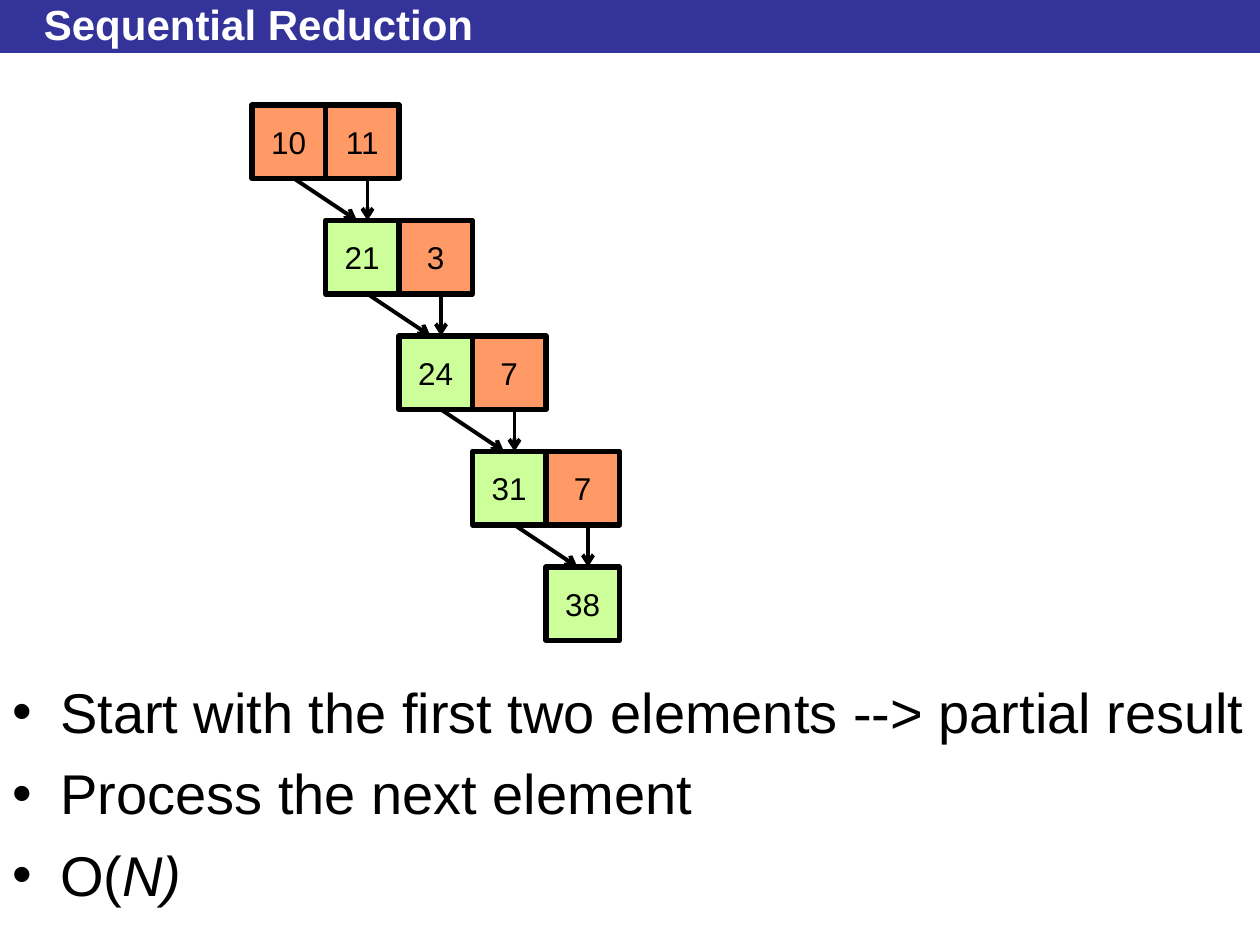
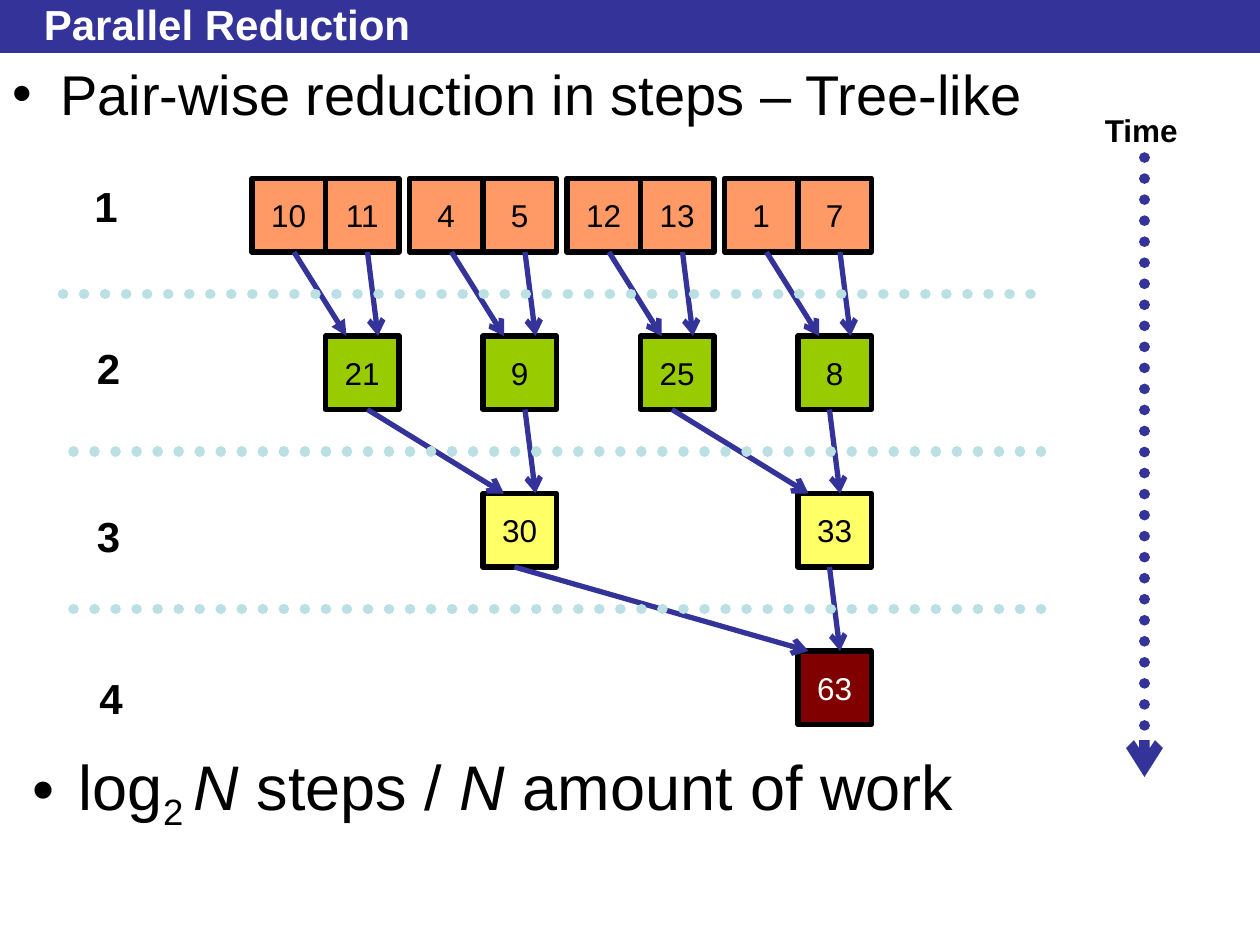
from lxml import etree
from pptx import Presentation
from pptx.dml.color import RGBColor
from pptx.enum.dml import MSO_LINE
from pptx.enum.shapes import MSO_CONNECTOR, MSO_SHAPE
from pptx.enum.text import MSO_ANCHOR, MSO_AUTO_SIZE, PP_ALIGN
from pptx.oxml.ns import qn
from pptx.util import Inches, Pt

# Shared style
FONT = "Arial"
BLACK, WHITE = "000000", "FFFFFF"
NAVY, PALE_BLUE = "333399", "BBE0E3"
ORANGE, LIGHT_GREEN = "FF9966", "CCFF99"
GREEN, YELLOW, MAROON = "99CC00", "FFFF66", "800000"

# Both diagrams sit on a grid of twelfths of an inch
CELL = 7
FIRST_X = 24


def grid(units):
    return Inches(units / 12)


def color(hex_value):
    return RGBColor.from_string(hex_value)


def format_runs(paragraph, size, hex_value=BLACK, bold=False):
    for run in paragraph.runs:
        run.font.name = FONT
        run.font.size = Pt(size)
        run.font.bold = bold
        run.font.color.rgb = color(hex_value)


def add_bullet(paragraph, indent):
    properties = paragraph._p.get_or_add_pPr()
    properties.set("marL", str(Inches(indent)))
    properties.set("indent", str(-Inches(indent)))
    bullet_color = etree.SubElement(properties, qn("a:buClr"))
    etree.SubElement(bullet_color, qn("a:srgbClr"), val=BLACK)
    etree.SubElement(properties, qn("a:buFont"), typeface=FONT)
    etree.SubElement(properties, qn("a:buChar"), char="•")


def add_text_box(slide, left, top, width, height, wrap=True):
    box = slide.shapes.add_textbox(Inches(left), Inches(top), Inches(width), Inches(height))
    box.text_frame.word_wrap = wrap
    return box.text_frame


def add_label(slide, text, left, top, width, height, size):
    frame = add_text_box(slide, left, top, width, height, wrap=False)
    frame.text = text
    format_runs(frame.paragraphs[0], size, bold=True)


def add_titled_slide(presentation, title):
    slide = presentation.slides.add_slide(presentation.slide_layouts[6])
    band = slide.shapes.add_shape(MSO_SHAPE.RECTANGLE, 0, 0, presentation.slide_width, Inches(0.42))
    band.shadow.inherit = False
    band.fill.solid()
    band.fill.fore_color.rgb = color(NAVY)
    band.line.fill.background()
    frame = add_text_box(slide, 0.25, 0.05, 9.25, 0.28)
    frame.vertical_anchor = MSO_ANCHOR.MIDDLE
    frame.text = title
    format_runs(frame.paragraphs[0], 24, WHITE, bold=True)
    return slide


def add_bullets(slide, top, height, items):
    """Each item is a list of (text, italic) pairs."""
    frame = add_text_box(slide, 0, top, 10, height)
    for index, parts in enumerate(items):
        paragraph = frame.add_paragraph() if index else frame.paragraphs[0]
        add_bullet(paragraph, 0.38)
        if index:
            paragraph.space_before = Pt(8)
        for text, italic in parts:
            run = paragraph.add_run()
            run.text = text
            run.font.italic = italic
        format_runs(paragraph, 32)


def add_cell(slide, value, x, y, fill, text_color=BLACK):
    cell = slide.shapes.add_shape(MSO_SHAPE.RECTANGLE, grid(x), grid(y), grid(CELL), grid(CELL))
    cell.shadow.inherit = False
    cell.fill.solid()
    cell.fill.fore_color.rgb = color(fill)
    cell.line.color.rgb = color(BLACK)
    cell.line.width = Pt(3)
    frame = cell.text_frame
    frame.word_wrap = False
    frame.vertical_anchor = MSO_ANCHOR.MIDDLE
    frame.text = str(value)
    frame.paragraphs[0].alignment = PP_ALIGN.CENTER
    format_runs(frame.paragraphs[0], 18, text_color)


def add_line(slide, start, end, hex_value, width, head=None, dotted=False):
    line = slide.shapes.add_connector(MSO_CONNECTOR.STRAIGHT, *map(grid, start + end))
    line.line.color.rgb = color(hex_value)
    line.line.width = Pt(width)
    outline = line.line._get_or_add_ln()
    if dotted:
        line.line.dash_style = MSO_LINE.ROUND_DOT
        outline.set("cap", "rnd")
    if head:
        etree.SubElement(outline, qn("a:tailEnd"), type=head)
    etree.SubElement(line._element.spPr, qn("a:effectLst"))


def build_sequential(presentation):
    slide = add_titled_slide(presentation, "Sequential Reduction")
    add_bullets(slide, 5.33, 2.17, [
        [("Start with the first two elements --> partial result", False)],
        [("Process the next element", False)],
        [("O(", False), ("N)", True)],
    ])

    # Staircase: every partial result meets the next element
    steps = [(10, 11), (21, 3), (24, 7), (31, 7), (38, None)]
    for index, (partial, element) in enumerate(steps):
        x, y = FIRST_X + CELL * index, 10 + 11 * index
        if element is not None:
            add_cell(slide, element, x + CELL, y, ORANGE)
        add_cell(slide, partial, x, y, LIGHT_GREEN if index else ORANGE)
        if index:
            for start_x, end_x in ((x - 3, x + 3), (x + 4, x + 4)):
                add_line(slide, (start_x, y - 4), (end_x, y), BLACK, 2.25, "arrow")


def build_parallel(presentation):
    slide = add_titled_slide(presentation, "Parallel Reduction")
    add_bullets(slide, 0.42, 7.08, [[("Pair-wise reduction in steps – Tree-like", False)]])

    # Tree: each level adds up neighbouring pairs of the level above
    top, level_step = 17, 15
    values = [10, 11, 4, 5, 12, 13, 1, 7]
    columns = [FIRST_X + level_step * (i // 2) + CELL * (i % 2) for i in range(len(values))]
    for value, x in zip(values, columns):
        add_cell(slide, value, x, top, ORANGE)

    fills = [(GREEN, BLACK), (YELLOW, BLACK), (MAROON, WHITE)]
    for level, (fill, text_color) in enumerate(fills, start=1):
        y = top + level_step * level
        pairs = list(zip(columns[::2], columns[1::2]))
        values = [a + b for a, b in zip(values[::2], values[1::2])]
        columns = columns[1::2]
        for index, (value, (left_x, right_x)) in enumerate(zip(values, pairs)):
            add_cell(slide, value, right_x, y, fill, text_color)
            # Arrows into the lower right part of the tree sit one unit further left
            nudge = 1 if level == 3 or (level == 2 and index == 1) else 0
            left_head = "triangle" if level == 1 and index == 0 else "arrow"
            for child_x, offset, head in ((left_x, 2, left_head), (right_x, 5, "arrow")):
                add_line(slide, (child_x + 4 - nudge, y - 8), (right_x + offset - nudge, y),
                         NAVY, 3, head)

    # Separators between the levels, and the time axis
    for index, x in enumerate((6, 7, 7)):
        y = 28 + level_step * index
        add_line(slide, (x, y), (x + 93, y), PALE_BLUE, 6, dotted=True)
    add_line(slide, (109, 15), (109, 74), NAVY, 6, "arrow", dotted=True)
    add_label(slide, "Time", 8.67, 0.83, 0.78, 0.4, 18)

    # Step numbers
    for number, (left, y) in enumerate([(0.65, 1.38), (0.67, 2.67), (0.67, 4), (0.69, 5.29)], 1):
        add_label(slide, str(number), left, y, 0.38, 0.5, 24)

    # Cost of the method
    frame = add_text_box(slide, 0.16, 5.88, 7.51, 0.79)
    frame.auto_size = MSO_AUTO_SIZE.SHAPE_TO_FIT_TEXT
    paragraph = frame.paragraphs[0]
    add_bullet(paragraph, 0.23)
    for text in (" log", "2 ", "N ", "steps / ", "N", " amount of work"):
        run = paragraph.add_run()
        run.text = text
        run.font.italic = text.strip() == "N"
        if text == "2 ":
            run.font._element.set("baseline", "-25000")
    format_runs(paragraph, 36)


def main():
    presentation = Presentation()
    presentation.slide_width, presentation.slide_height = Inches(10), Inches(7.5)
    build_sequential(presentation)
    build_parallel(presentation)
    presentation.save("out.pptx")


if __name__ == "__main__":
    main()
